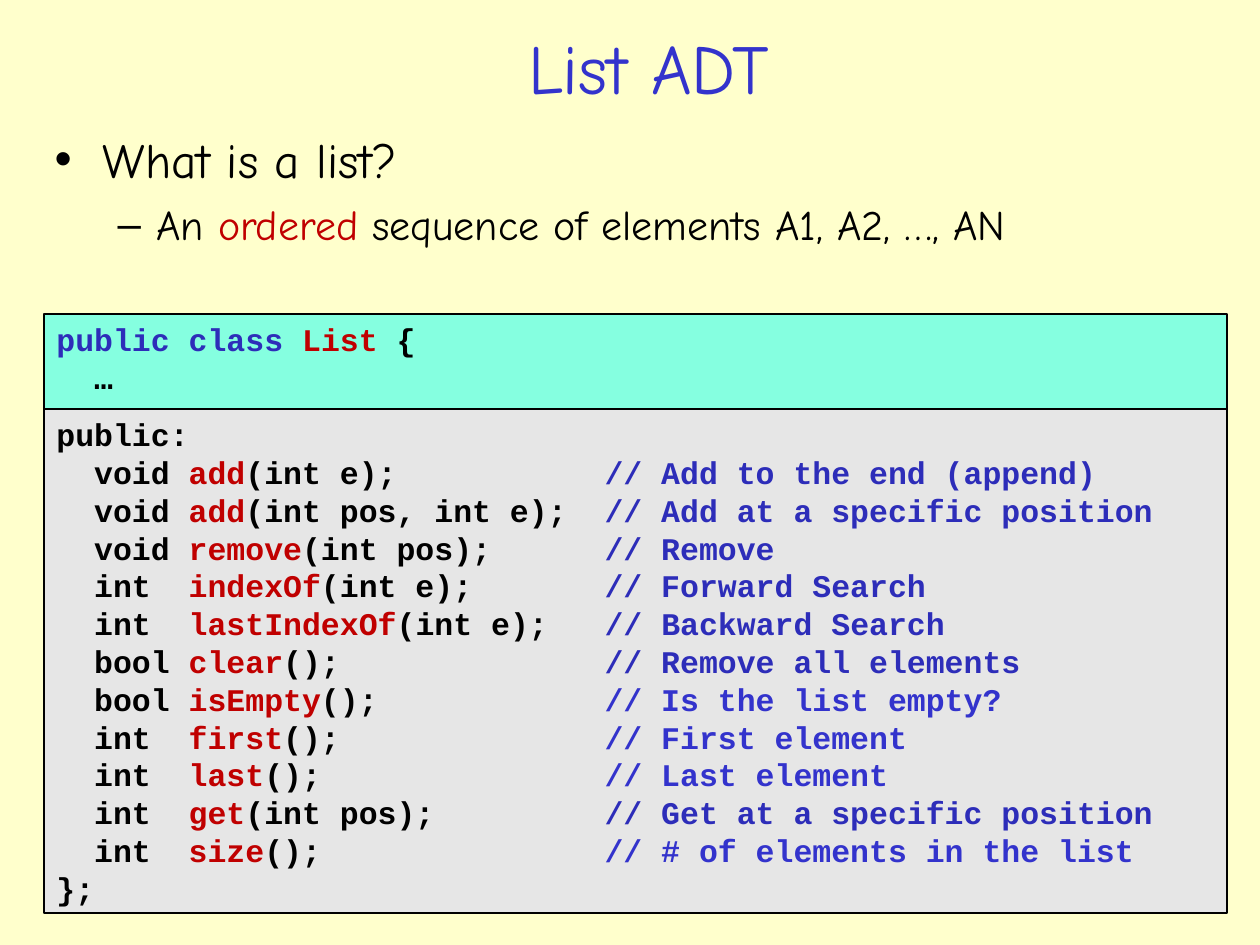
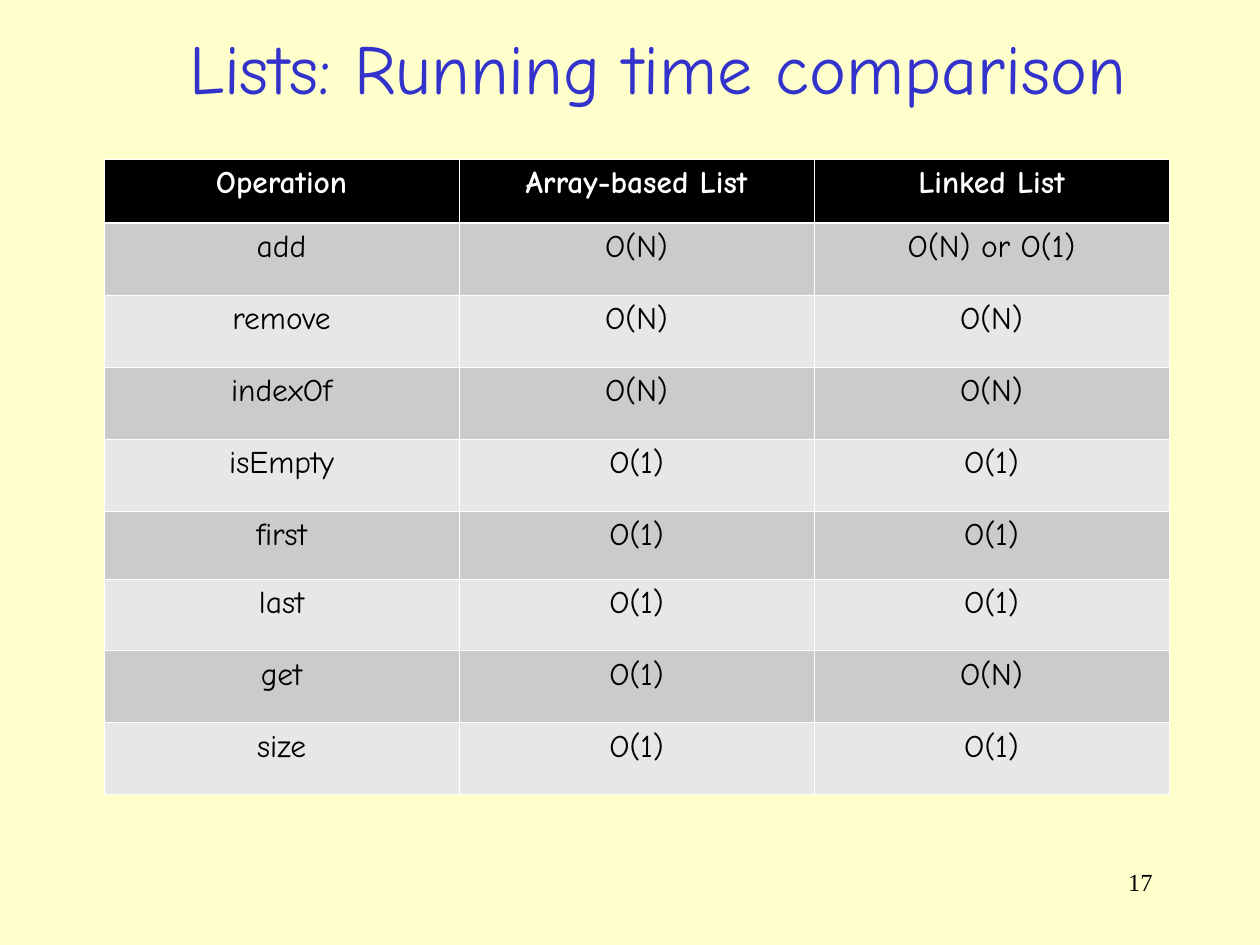
import pptx
import pptx.dml.color
import pptx.enum.shapes
import pptx.enum.text
import pptx.oxml
import pptx.oxml.ns
import pptx.util

PX = 914400 / 126
PP_ALIGN = pptx.enum.text.PP_ALIGN
BLACK, WHITE, CREAM = "000000", "FFFFFF", "FFFFCC"
BLUE, NAVY, RED = "3333CC", "2D2DB9", "C00000"
MINT, GREY = "85FFE0", "E6E6E6"
BANDS = "CBCBCB", "E7E7E7"

CODE_COLUMNS = 29
METHODS = [
    ("void", "add", "(int e);", "Add to the end (append)", NAVY),
    ("void", "add", "(int pos, int e);", "Add at a specific position", NAVY),
    ("void", "remove", "(int pos);", "Remove", NAVY),
    ("int", "indexOf", "(int e);", "Forward Search", NAVY),
    ("int", "lastIndexOf", "(int e);", "Backward Search", NAVY),
    ("bool", "clear", "();", "Remove all elements", NAVY),
    ("bool", "isEmpty", "();", "Is the list empty?", BLUE),
    ("int", "first", "();", "First element", BLUE),
    ("int", "last", "();", "Last element", BLUE),
    ("int", "get", "(int pos);", "Get at a specific position", NAVY),
    ("int", "size", "();", "# of elements in the list", BLUE),
]
RUNNING_TIMES = [
    ("Operation", "Array-based List", "Linked List"),
    ("add", "O(N)", "O(N) or O(1)"),
    ("remove", "O(N)", "O(N)"),
    ("indexOf", "O(N)", "O(N)"),
    ("isEmpty", "O(1)", "O(1)"),
    ("first", "O(1)", "O(1)"),
    ("last", "O(1)", "O(1)"),
    ("get", "O(1)", "O(N)"),
    ("size", "O(1)", "O(1)"),
]


def px(n):
    return pptx.util.Emu(round(n * PX))


def rgb(color):
    return pptx.dml.color.RGBColor.from_string(color)


def xml(parent, tag, **attrs):
    el = pptx.oxml.ns.qn(tag)
    child = parent.makeelement(el, attrs)
    parent.append(child)
    return child


class Deck:
    font = "Comic Neue"
    code_font = "Courier New"
    number_font = "Times New Roman"

    def __init__(self):
        self.prs = pptx.Presentation()
        self.prs.slide_width, self.prs.slide_height = px(1260), px(945)
        fill = self.prs.slide_master.background.fill
        fill.solid()
        fill.fore_color.rgb = rgb(CREAM)

    def place(self, sp, box):
        sp.left, sp.top, sp.width, sp.height = map(px, box)

    def style(self, p, size, font=None, color=None, bold=False, align=None):
        p.font.size = pptx.util.Pt(size)
        p.font.name = font or self.font
        p.font.bold = bold
        if color:
            p.font.color.rgb = rgb(color)
        if align is not None:
            p.alignment = align

    def runs(self, p, parts):
        for text, color in parts:
            r = p.add_run()
            r.text = text
            r.font.color.rgb = rgb(color)

    def paragraphs(self, tf, count):
        return [tf.paragraphs[0]] + [tf.add_paragraph() for _ in range(count - 1)]

    def slide(self, layout, title, box):
        self.s = self.prs.slides.add_slide(self.prs.slide_layouts.get_by_name(layout))
        sp = self.s.shapes.title
        self.place(sp, box)
        tf = sp.text_frame
        tf.text = title
        tf.auto_size = pptx.enum.text.MSO_AUTO_SIZE.NONE
        tf.vertical_anchor = pptx.enum.text.MSO_ANCHOR.MIDDLE
        self.style(tf.paragraphs[0], 40, color=BLUE, align=PP_ALIGN.CENTER)

    def body(self, box, items):
        levels = [("•", 48, 48, 28), ("–", 102, 39, 24)]
        sp = self.s.placeholders[1]
        self.place(sp, box)
        tf = sp.text_frame
        tf.auto_size = pptx.enum.text.MSO_AUTO_SIZE.NONE
        for i, (p, (level, parts)) in enumerate(zip(self.paragraphs(tf, len(items)), items)):
            bullet, margin, hang, size = levels[level]
            p.level = level
            pPr = p._p.get_or_add_pPr()
            pPr.set("marL", str(px(margin)))
            pPr.set("indent", str(px(-hang)))
            xml(pPr, "a:buChar", char=bullet)
            p.space_before = pptx.util.Pt(6 if i else 0)
            self.style(p, size)
            self.runs(p, parts)

    def code(self, box, fill, lines):
        sp = self.s.shapes.add_shape(pptx.enum.shapes.MSO_SHAPE.RECTANGLE, *map(px, box))
        sp.shadow.inherit = False
        sp.fill.solid()
        sp.fill.fore_color.rgb = rgb(fill)
        sp.line.color.rgb = rgb(BLACK)
        sp.line.width = pptx.util.Pt(1.5)
        tf = sp.text_frame
        tf.word_wrap = True
        tf.vertical_anchor = pptx.enum.text.MSO_ANCHOR.TOP
        for p, parts in zip(self.paragraphs(tf, len(lines)), lines):
            self.style(p, 18, self.code_font, bold=True, align=PP_ALIGN.LEFT)
            self.runs(p, parts)

    def number(self, box, text):
        tf = self.s.shapes.add_textbox(*map(px, box)).text_frame
        tf.word_wrap = True
        tf.text = text
        self.style(tf.paragraphs[0], 14, self.number_font, BLACK, align=PP_ALIGN.RIGHT)

    def borders(self, cell, widths):
        tcPr = cell._tc.get_or_add_tcPr()
        for side, width in zip("LRTB", widths):
            ln = xml(tcPr, f"a:ln{side}", w=str(pptx.util.Pt(width)))
            xml(xml(ln, "a:solidFill"), "a:srgbClr", val=WHITE)

    def table(self, left, top, col_width, heights, rows):
        thin, thick = 0.45, 1.47
        cols = len(rows[0])
        size = px(col_width * cols), px(sum(heights))
        table = self.s.shapes.add_table(len(rows), cols, px(left), px(top), *size).table
        table.horz_banding = False
        for col in table.columns:
            col.width = px(col_width)
        for i, (texts, height) in enumerate(zip(rows, heights)):
            header = i == 0
            table.rows[i].height = px(height)
            for j, text in enumerate(texts):
                cell = table.cell(i, j)
                self.borders(cell, (thin, thin, thick if i == 1 else thin,
                                    thick if header else thin))
                cell.fill.solid()
                cell.fill.fore_color.rgb = rgb(BLACK if header else BANDS[(i - 1) % 2])
                cell.text = text
                self.style(cell.text_frame.paragraphs[0], 18, color=WHITE if header else BLACK,
                           bold=header, align=PP_ALIGN.CENTER)


def method_line(kind, name, args, note, color):
    start = f"  {kind:<5}"
    return [(start, BLACK), (name, RED),
            (args.ljust(CODE_COLUMNS - len(start + name)), BLACK), (f"// {note}", color)]


def main():
    deck = Deck()

    deck.slide("Title and Content", "List ADT", (57, 19, 1183, 96))
    deck.body((42, 123, 1172, 176), [
        (0, [("What is a list?", BLACK)]),
        (1, [("An ", BLACK), ("ordered", RED),
             (" sequence of elements A1, A2, …, AN", BLACK)]),
    ])
    deck.code((44, 314, 1183, 95), MINT, [
        [("public class", NAVY), (" List ", RED), ("{", BLACK)],
        [("  …", BLACK)],
    ])
    deck.code((44, 409, 1183, 504), GREY, [
        [("public:", BLACK)],
        *(method_line(*method) for method in METHODS),
        [("};", BLACK)],
    ])

    deck.slide("Title Only", "Lists: Running time comparison", (91, 19, 1133, 96))
    deck.number((903, 861, 262, 63), "17")
    deck.table(104, 159, 355, [64] + [72] * 4 + [68] + [72] * 3, RUNNING_TIMES)

    deck.prs.save("out.pptx")


if __name__ == "__main__":
    main()
